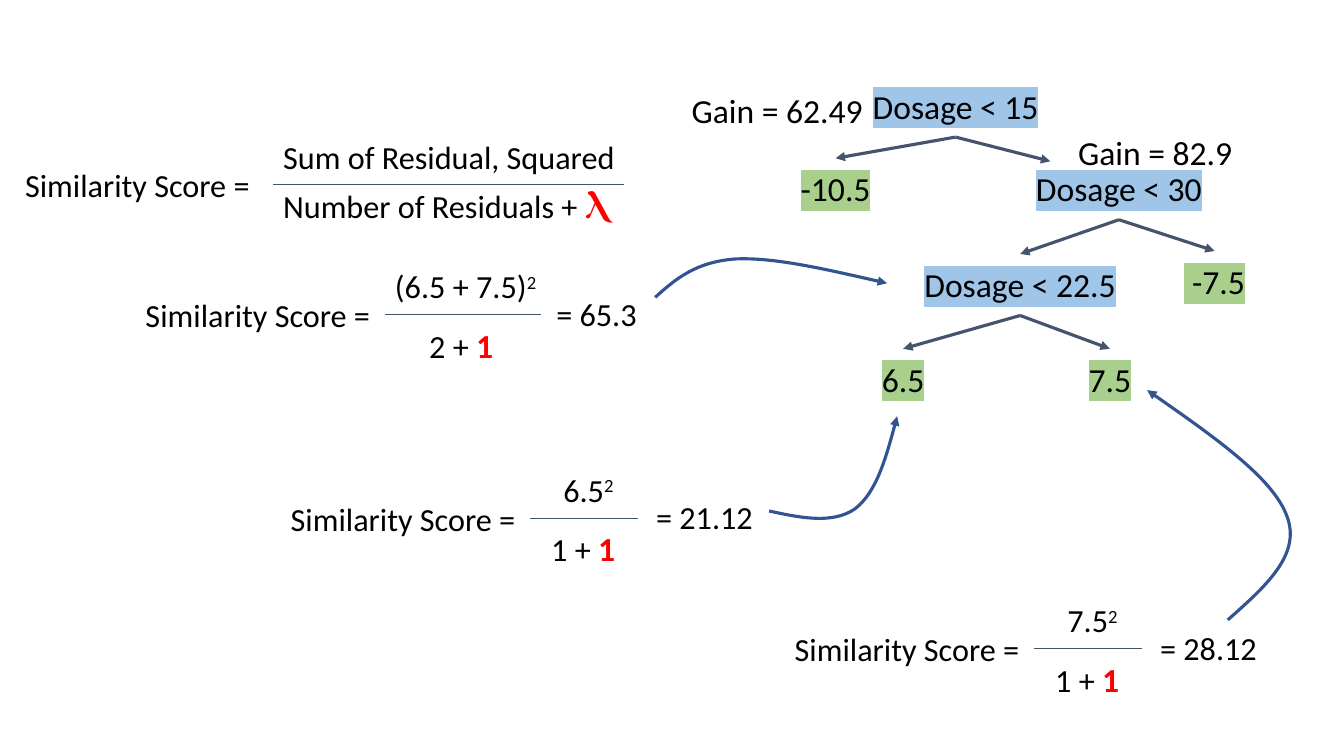
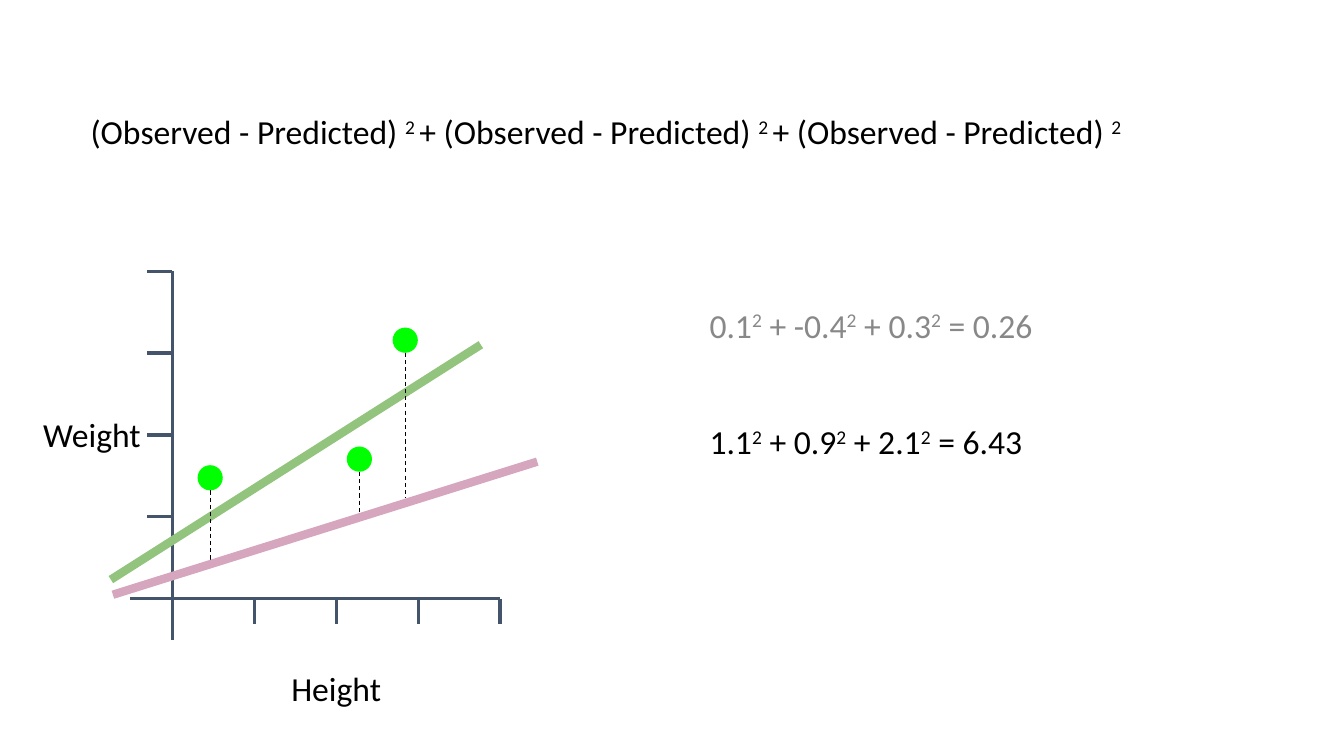
from dataclasses import dataclass
from lxml import etree
from pptx import Presentation
from pptx.dml.color import RGBColor
from pptx.enum.dml import MSO_LINE
from pptx.enum.shapes import MSO_CONNECTOR, MSO_SHAPE
from pptx.enum.text import MSO_AUTO_SIZE, PP_ALIGN
from pptx.oxml.ns import qn
from pptx.util import Inches, Pt

COLS, ROWS = 133.33, 75  # grid cells across and down the slide


@dataclass(frozen=True)
class Theme:
    font: str = "Calibri"
    big: int = 24
    small: int = 23
    ink: str = "000000"
    mute: str = "888888"
    hot: str = "FF0000"
    slate: str = "44546A"
    curve: str = "325491"
    node: str = "9FC5E8"
    leaf: str = "A8D08C"
    dot: str = "00FF00"
    fit: str = "93C47D"
    flat: str = "D5A6BD"
    thin: float = 0.75
    mid: float = 2.25
    thick: float = 6
    tall: float = 6.1
    low: float = 5.9


def rgb(code):
    return RGBColor.from_string(code)


def powers(*parts):
    """Runs in which every second part is raised."""
    return [(part, "sup" if i % 2 else "") for i, part in enumerate(parts)]


class Deck:
    def __init__(self, theme):
        self.theme = theme
        self.prs = Presentation()
        self.prs.slide_width = Inches(13.33)
        self.prs.slide_height = Inches(7.5)
        self.cell = self.prs.slide_width / COLS
        self.row = self.prs.slide_height / ROWS

    def page(self):
        self.slide = self.prs.slides.add_slide(self.prs.slide_layouts[6])
        self.shapes = self.slide.shapes

    def point(self, x, y):
        return round(x * self.cell), round(y * self.row)

    def text(self, x, y, wide, runs, size=None, color=None, mark=None,
             center=False):
        """Text box of one line; runs are (text, kind) pairs or a string."""
        look = self.theme
        size = size or look.big
        high = look.tall if size == look.big else look.low
        box = self.shapes.add_textbox(*self.point(x, y),
                                      *self.point(wide, high))
        frame = box.text_frame
        frame.word_wrap = True
        frame.auto_size = MSO_AUTO_SIZE.SHAPE_TO_FIT_TEXT
        frame.margin_left = frame.margin_right = Inches(0.1)
        frame.margin_top = frame.margin_bottom = Inches(0.1)
        para = frame.paragraphs[0]
        para.alignment = PP_ALIGN.CENTER if center else PP_ALIGN.LEFT
        for words, kind in [(runs, "")] if isinstance(runs, str) else runs:
            run = para.add_run()
            run.text = words
            font = run.font
            hot = kind == "hot"
            font.size = Pt(look.big if hot else size)
            font.bold = hot
            font.color.rgb = rgb(look.hot if hot else color or look.ink)
            props = run._r.get_or_add_rPr()
            if kind == "sup":
                props.set("baseline", "30000")
            if mark:
                light = etree.SubElement(props, qn("a:highlight"))
                etree.SubElement(light, qn("a:srgbClr")).set("val", mark)
            font.name = look.font
        return box

    def stroke(self, shape, color, width, arrow):
        shape.line.color.rgb = rgb(color)
        shape.line.width = Pt(width)
        if arrow:
            edge = shape._element.spPr.get_or_add_ln()
            etree.SubElement(edge, qn("a:tailEnd")).set("type", "triangle")

    def line(self, start, end, color=None, width=None, arrow=False,
             dash=False):
        look = self.theme
        wire = self.shapes.add_connector(
            MSO_CONNECTOR.STRAIGHT, *self.point(*start), *self.point(*end))
        if dash:
            wire.line.dash_style = MSO_LINE.DASH
        self.stroke(wire, color or look.slate, width or look.mid, arrow)
        etree.SubElement(wire._element.spPr, qn("a:effectLst"))
        return wire

    def curve(self, start, *points):
        """Arrow along cubic curves, three points to each curve."""
        pen = self.shapes.build_freeform(*self.point(*start))
        pen.add_line_segments([self.point(*p) for p in points], close=False)
        shape = pen.convert_to_shape()
        parts = list(shape._element.iter(qn("a:lnTo")))
        for i in range(0, len(parts), 3):
            bend = etree.Element(qn("a:cubicBezTo"))
            parts[i].addprevious(bend)
            for part in parts[i:i + 3]:
                bend.append(part[0])
                part.getparent().remove(part)
        shape.fill.background()
        shape.shadow.inherit = False
        self.stroke(shape, self.theme.curve, self.theme.mid, True)

    def chip(self, mid, y, words, mark, wide=21.2):
        """Marked tree label centred on a column."""
        return self.text(mid - wide / 2, y, wide, words, mark=mark,
                         center=True)

    def branch(self, top, mid, y, *ends):
        """Arrows from below a label to boxes or to free points."""
        for end in ends:
            free = isinstance(end, tuple)
            wire = self.line((mid, y + self.theme.tall),
                             end if free else (mid, y + 10), arrow=True)
            wire.begin_connect(top, 2)
            if not free:
                wire.end_connect(end, 0)

    def score(self, x, y, wide, over, under, total, shift):
        """Similarity score as a fraction whose bar starts at x, y."""
        size = self.theme.small
        up, down, gap = shift
        self.text(x - 24.75, y - 2.9, 34, "Similarity Score =", size)
        self.text(x + up, y - 5.75, 17.2, powers(over, "2"), size)
        self.text(x + down, y, 8.6, [(under, ""), ("1", "hot")], size)
        self.line((x, y), (x + wide, y), width=self.theme.thin)
        self.text(x + wide + gap, y - 3.05, 13.3, total, size)

    def dot(self, x, y, size=2.5):
        ball = self.shapes.add_shape(
            MSO_SHAPE.OVAL, *self.point(x - size / 2, y - size / 2),
            *self.point(size, size))
        ball.fill.solid()
        ball.fill.fore_color.rgb = rgb(self.theme.dot)
        ball.line.fill.background()
        ball.shadow.inherit = False


def tree(deck):
    look = deck.theme
    deck.page()
    left = deck.chip(82.9, 15.7, "-10.5", look.leaf)
    deck.text(98.8, 12.1, 31.6, "Gain = 82.9", center=True)
    right = deck.chip(111, 15.7, "Dosage < 30", look.node)
    root = deck.chip(94.8, 7.5, "Dosage < 15", look.node, 33.9)
    deck.text(61.3, 7.9, 31.6, "Gain = 62.49", center=True)
    inner = deck.chip(101.2, 25.2, "Dosage < 22.5", look.node)
    last = deck.chip(120.5, 24.9, " -7.5", look.leaf)
    leaves = [deck.chip(mid, 34.6, words, look.leaf)
              for mid, words in ((89.6, "6.5"), (110.1, "7.5"))]
    deck.branch(root, 94.8, 7.5, left, (104.2, 16))
    deck.branch(right, 111, 15.7, inner, last)
    deck.branch(inner, 101.2, 25.2, *leaves)

    deck.text(1.5, 15.4, 34, "Similarity Score =", look.small)
    deck.text(27.1, 12.6, 43.8, "Sum of Residual, Squared", look.small)
    deck.text(27.1, 17.3, 43.8,
              [("Number of Residuals + ", ""), ("Ⲗ", "hot")], look.small)
    deck.line((27.1, 18.3), (61.9, 18.3), width=look.thin)

    deck.score(38.2, 31.2, 15.5, "(6.5 + 7.5)", "2 + ", "= 65.3",
               (0, 3.4, 0.5))
    for x, y, over, total in ((52.6, 51.4, "6.5", "= 21.12"),
                              (102.6, 64.35, "7.5", "= 28.12")):
        deck.score(x, y, 10.7, over, "1 + ", total, (2.3, 1.1, 0.8))

    deck.curve((65, 29.5), (67, 27.7), (69, 26), (72.9, 25.7),
               (76.7, 25.5), (82.3, 26.8), (88, 28.1))
    deck.curve((76.3, 50.7), (79.5, 51.4), (82.6, 52), (84.8, 50.5),
               (86.9, 48.9), (88, 45.1), (89, 41.3))
    deck.curve((121.8, 61.5), (125.4, 58.3), (129.1, 55.1), (127.7, 51.3),
               (126.4, 47.5), (120.1, 43.1), (113.8, 38.7))


def plot(deck):
    look = deck.theme
    deck.page()
    left, base, span, tick = 17.1, 59.4, 32.5, 2.5
    deck.line((left, base - span), (left, 63.5))
    deck.line((left + span, base), (12.9, base))
    for i in range(1, 5):
        step = span * i / 4
        deck.line((left - tick, base - step), (left, base - step))
        deck.line((left + step, base), (left + step, base + tick))
    deck.line((11, 57.5), (47.7, 34.2), look.fit, look.thick)
    deck.text(3.3, 40.1, 12.7, "Weight")
    deck.text(27, 65.3, 12.7, "Height", center=True)
    for x, y, foot in ((20.85, 47.4, 55.7), (40.2, 33.75, 49.4),
                       (35.65, 45.55, 51.2)):
        deck.dot(x, y)
        deck.line((x, y + 1.25), (x, foot), look.ink, look.thin, dash=True)
    deck.line((11.2, 59), (53.3, 45.8), look.flat, look.thick)

    term = "(Observed - Predicted) "
    deck.text(8, 10, 112.5,
              powers(term, "2 ", "+ " + term, "2 ", "+ " + term, "2"))
    for y, color, a, b, c, total in (
            (40.8, look.ink, "1.1", "0.9", "2.1", "6.43"),
            (29.2, look.mute, "0.1", "-0.4", "0.3", "0.26")):
        deck.text(69.4, y, 42.1,
                  powers(a, "2", " + " + b, "2", " + " + c, "2",
                         " = " + total), color=color)


def main():
    deck = Deck(Theme())
    tree(deck)
    plot(deck)
    deck.prs.save("out.pptx")


if __name__ == "__main__":
    main()
